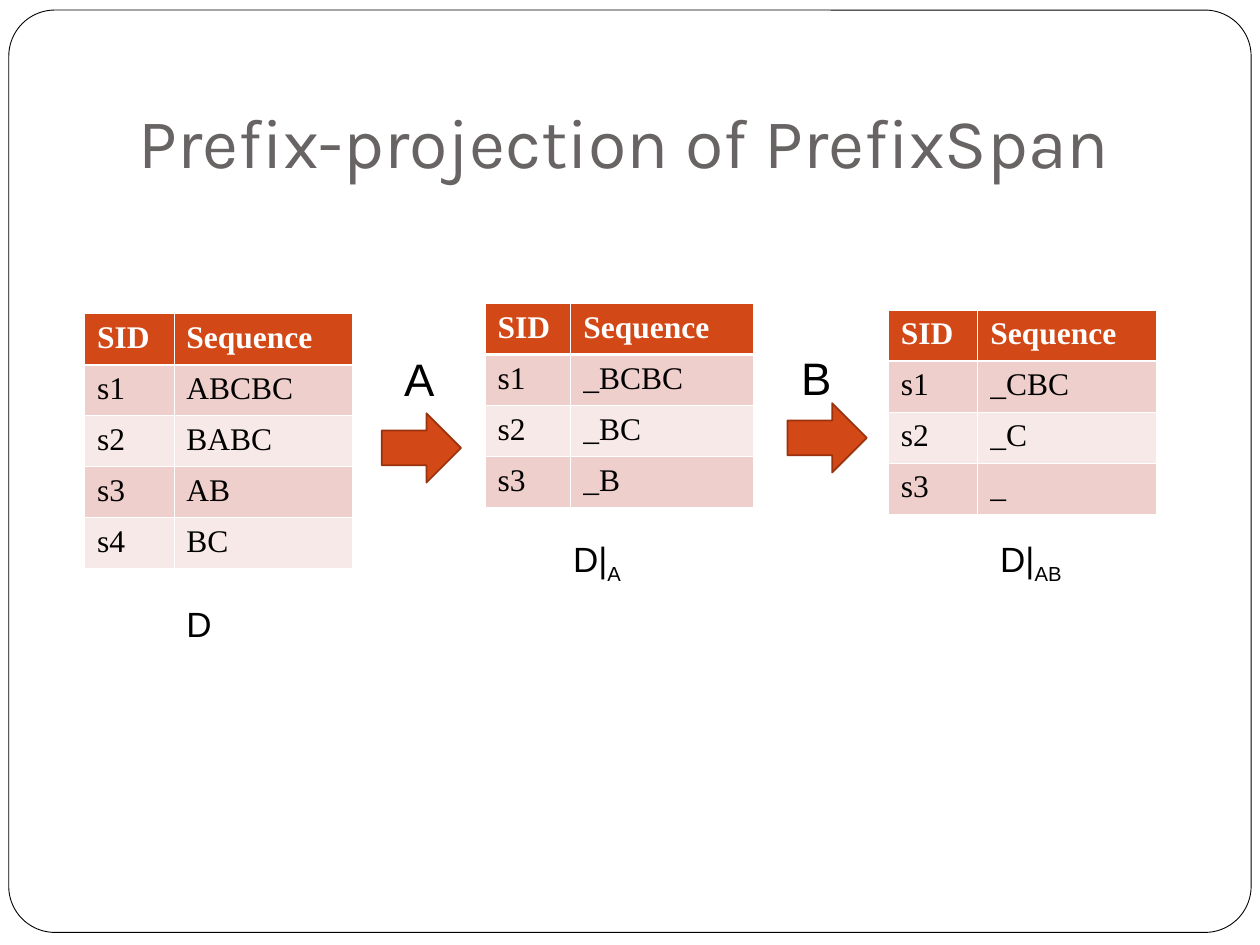
from lxml.etree import SubElement
from pptx import Presentation
from pptx.dml.color import RGBColor
from pptx.enum.shapes import MSO_SHAPE as Shape
from pptx.enum.text import MSO_ANCHOR as Anchor, MSO_AUTO_SIZE as Fit, PP_ALIGN as Align
from pptx.oxml.ns import qn
from pptx.util import Inches, Pt

RED, EDGE, DARK, PALE = "D34817", "9B320E", "EFCFCC", "F7E9E7"
BLACK, WHITE, GREY = "000000", "FFFFFF", "696464"
ROW = 0.405
WIDTH = 2.13


def color(code):
    return RGBColor.from_string(code)


def style(para, size, name, code, bold=False):
    font = para.font
    font.size, font.name, font.bold = Pt(size), name, bold
    font.color.rgb = color(code)


def add_block(slide, kind, box, fill, line, width):
    block = slide.shapes.add_shape(kind, *map(Inches, box))
    block.shadow.inherit = False
    block.fill.solid()
    block.fill.fore_color.rgb = color(fill)
    block.line.color.rgb = color(line)
    block.line.width = Pt(width)
    return block


def add_frame(slide):
    frame = add_block(slide, Shape.ROUNDED_RECTANGLE, (0.07, 0.08, 9.86, 7.32),
                      WHITE, BLACK, 0.5)
    frame.adjustments[0] = 0.05
    # Behind the title
    frame.element.getparent().insert(2, frame.element)


def set_title(slide, text):
    title = slide.shapes.title
    title.left, title.top, title.width, title.height = map(Inches, (1, 0.3, 8.5, 1.25))
    frame = title.text_frame
    frame.text = text
    frame.auto_size = Fit.NONE
    frame.vertical_anchor = Anchor.BOTTOM
    frame.margin_bottom = Inches(0.1)
    frame.paragraphs[0].alignment = Align.LEFT
    style(frame.paragraphs[0], 40, "Karla", GREY)


def add_edges(cell, row):
    """Draw thin white borders, with a thick one under the header."""
    props = cell._tc.get_or_add_tcPr()
    thick = {"lnB": row == 0, "lnT": row == 1}
    for side in ("lnL", "lnR", "lnT", "lnB"):
        width = Pt(1.47 if thick.get(side) else 0.45)
        line = SubElement(props, qn(f"a:{side}"), w=str(width))
        SubElement(SubElement(line, qn("a:solidFill")), qn("a:srgbClr"), val=WHITE)


def add_database(slide, left, top, first, items):
    """Add a table of sequences whose first column has the given width."""
    rows = [("SID", "Sequence")] + [(f"s{i}", item) for i, item in enumerate(items, 1)]
    box = (left, top, WIDTH, ROW * len(rows))
    table = slide.shapes.add_table(len(rows), 2, *map(Inches, box)).table
    for col, width in zip(table.columns, (first, WIDTH - first)):
        col.width = Inches(width)
    for r, texts in enumerate(rows):
        table.rows[r].height = Inches(ROW)
        for c, text in enumerate(texts):
            cell = table.cell(r, c)
            cell.text = text
            add_edges(cell, r)
            cell.fill.solid()
            fill = RED if r == 0 else DARK if r % 2 else PALE
            cell.fill.fore_color.rgb = color(fill)
            style(cell.text_frame.paragraphs[0], 18, "Times New Roman",
                  BLACK if r else WHITE, r == 0)


def add_label(slide, box, size, text, sub=""):
    frame = slide.shapes.add_textbox(*map(Inches, box)).text_frame
    frame.word_wrap = True
    frame.auto_size = Fit.SHAPE_TO_FIT_TEXT
    para = frame.paragraphs[0]
    para.add_run().text = text
    if sub:
        run = para.add_run()
        run.text = sub
        run.font._element.set("baseline", "-25000")
    style(para, size, "Arial", BLACK)


def main():
    deck = Presentation()
    deck.slide_width, deck.slide_height = Inches(10), Inches(7.5)
    slide = deck.slides.add_slide(deck.slide_layouts[5])
    add_frame(slide)
    set_title(slide, "Prefix-projection of PrefixSpan")

    add_database(slide, 0.67, 2.49, 0.71, ["ABCBC", "BABC", "AB", "BC"])
    add_database(slide, 3.85, 2.41, 0.68, ["_BCBC", "_BC", "_B"])
    add_database(slide, 7.05, 2.46, 0.71, ["_CBC", "_C", "_"])

    for left, top in ((3.03, 3.28), (6.25, 3.2)):
        add_block(slide, Shape.RIGHT_ARROW, (left, top, 0.63, 0.55), RED, EDGE, 1)

    add_label(slide, (1.38, 4.73, 0.71, 0.44), 20, "D")
    add_label(slide, (4.45, 4.22, 0.87, 0.48), 20, "D|", "A")
    add_label(slide, (7.84, 4.22, 0.94, 0.48), 20, "D|", "AB")
    add_label(slide, (3.11, 2.74, 0.47, 0.54), 26, "A")
    add_label(slide, (6.26, 2.73, 0.47, 0.54), 26, "B")
    deck.save("out.pptx")


if __name__ == "__main__":
    main()
